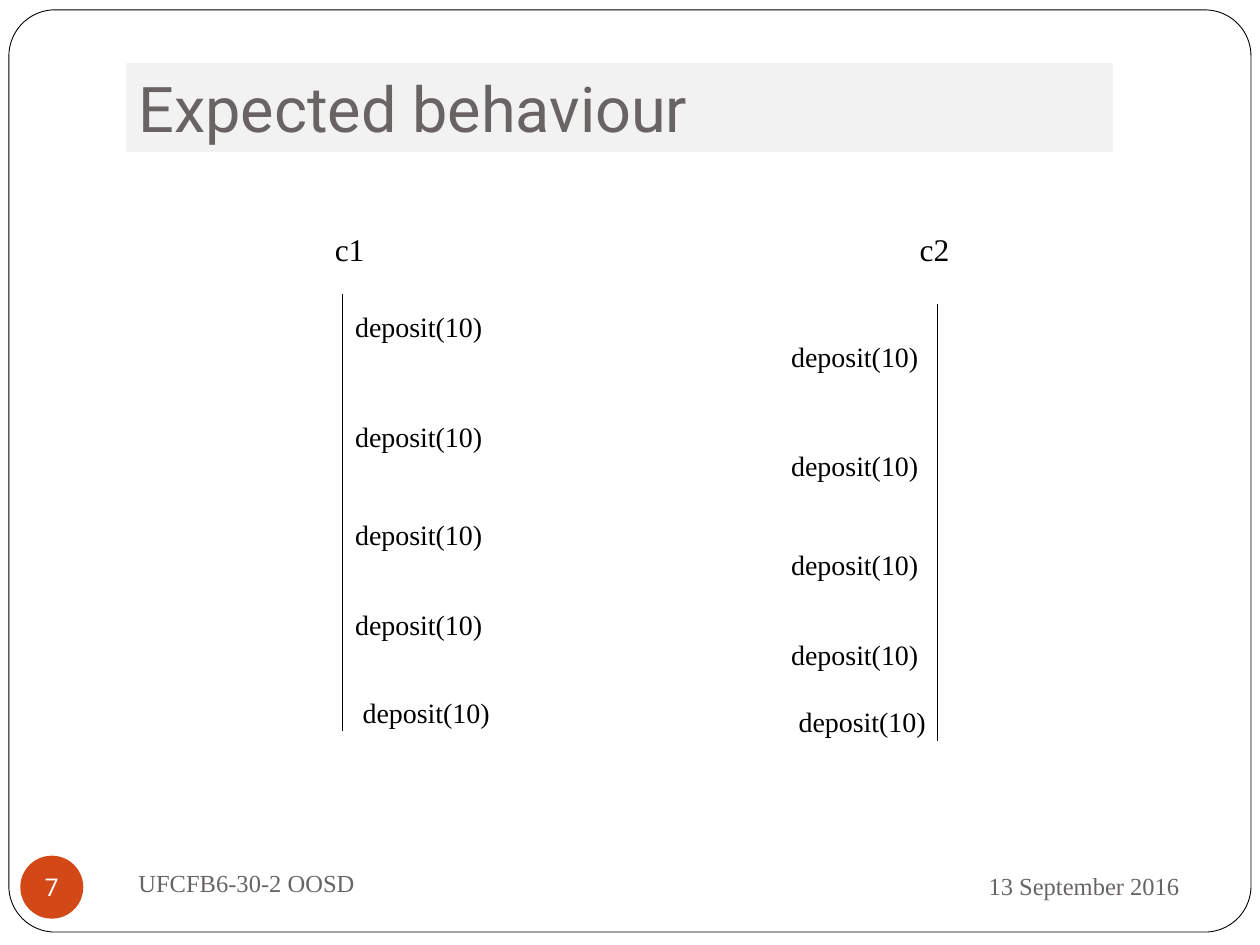
import pptx
import pptx.dml.color
import pptx.enum.shapes
import pptx.enum.text
import pptx.oxml.ns
import pptx.util
from lxml import etree

Cm = pptx.util.Cm
Pt = pptx.util.Pt
SHAPE = pptx.enum.shapes.MSO_SHAPE
ALIGN = pptx.enum.text.PP_ALIGN
ANCHOR = pptx.enum.text.MSO_ANCHOR

COLORS = {
    "white": "FFFFFF",
    "black": "000000",
    "grey": "696464",
    "band": "F2F2F2",
    "accent": "D34817",
}
SERIF = "Times New Roman"
SANS = "Roboto"

# Each client: name, its label (left, width), lifeline (x, top), calls (left, top)
CLIENTS = [
    ("c1", (6.5, 1.12), (6.91, 5.92),
     [(6.91, 6.12), (6.91, 8.33), (6.91, 10.31), (6.91, 12.12), (7.06, 13.89)]),
    ("c2", (18.29, 1.6), (18.9, 6.12),
     [(15.7, 6.73), (15.7, 8.92), (15.7, 10.92), (15.7, 12.73), (15.85, 14.07)]),
]
LIFELINE_LENGTH = 8.81


def rgb(name):
    return pptx.dml.color.RGBColor.from_string(COLORS[name])


def write(tf, text, size, font, color, align=ALIGN.LEFT, anchor=ANCHOR.TOP):
    tf.word_wrap = True
    tf.vertical_anchor = anchor
    p = tf.paragraphs[0]
    p.alignment = align
    r = p.add_run()
    r.text = text
    r.font.size = Pt(size)
    r.font.name = font
    r.font.color.rgb = rgb(color)


def add_text(s, text, left, top, width, height, size, color="black", **layout):
    sp = s.shapes.add_textbox(Cm(left), Cm(top), Cm(width), Cm(height))
    write(sp.text_frame, text, size, SERIF, color, **layout)


def add_shape(s, kind, left, top, width, height, fill):
    sp = s.shapes.add_shape(kind, Cm(left), Cm(top), Cm(width), Cm(height))
    sp.shadow.inherit = False
    sp.fill.solid()
    sp.fill.fore_color.rgb = rgb(fill)
    sp.line.fill.background()
    return sp


def add_frame(s):
    sp = add_shape(s, SHAPE.ROUNDED_RECTANGLE, 0.18, 0.2, 25.04, 18.59, "white")
    sp.adjustments[0] = 0.05
    sp.line.color.rgb = rgb("black")
    sp.line.width = Pt(0.5)
    # Send behind the title
    s.shapes._spTree.insert(2, sp._element)


def add_title(s, text):
    sp = s.shapes.title
    sp.left, sp.top, sp.width, sp.height = Cm(2.54), Cm(1.27), Cm(19.89), Cm(1.8)
    sp.fill.solid()
    sp.fill.fore_color.rgb = rgb("band")
    write(sp.text_frame, text, 36, SANS, "grey")
    sp.text_frame.auto_size = pptx.enum.text.MSO_AUTO_SIZE.NONE


def add_lifeline(s, x, top):
    line = s.shapes.add_connector(
        pptx.enum.shapes.MSO_CONNECTOR.STRAIGHT,
        Cm(x), Cm(top), Cm(x), Cm(top + LIFELINE_LENGTH))
    line.line.color.rgb = rgb("black")
    line.line.width = Pt(0.75)
    etree.SubElement(line._element.spPr, pptx.oxml.ns.qn("a:effectLst"))


def add_client(s, name, label, lifeline, calls):
    left, width = label
    add_lifeline(s, *lifeline)
    add_text(s, name, left, 4.52, width, 1.02, 18)
    for x, y in calls:
        add_text(s, "deposit(10)", x, y, 3.4, 0.94, 16)


def add_page_number(s, text):
    sp = add_shape(s, SHAPE.OVAL, 0.41, 17.25, 1.27, 1.27, "accent")
    tf = sp.text_frame
    tf.margin_left = tf.margin_right = tf.margin_top = tf.margin_bottom = 0
    write(tf, text, 14, SANS, "white", ALIGN.CENTER, ANCHOR.MIDDLE)
    tf.word_wrap = False


def main():
    prs = pptx.Presentation()
    prs.slide_width, prs.slide_height = Cm(25.4), Cm(19.05)
    s = prs.slides.add_slide(prs.slide_layouts[5])

    # Frame and title
    add_frame(s)
    add_title(s, "Expected behaviour")

    # Calls made by each client over time
    for client in CLIENTS:
        add_client(s, *client)

    # Footer
    add_text(s, "UFCFB6-30-2 OOSD", 2.54, 17.15, 11, 1.27, 14, "grey",
             anchor=ANCHOR.MIDDLE)
    add_text(s, "13 September 2016", 17.15, 17.2, 6.88, 1.32, 14, "grey",
             align=ALIGN.RIGHT, anchor=ANCHOR.MIDDLE)
    add_page_number(s, "7")

    prs.save("out.pptx")


if __name__ == "__main__":
    main()
